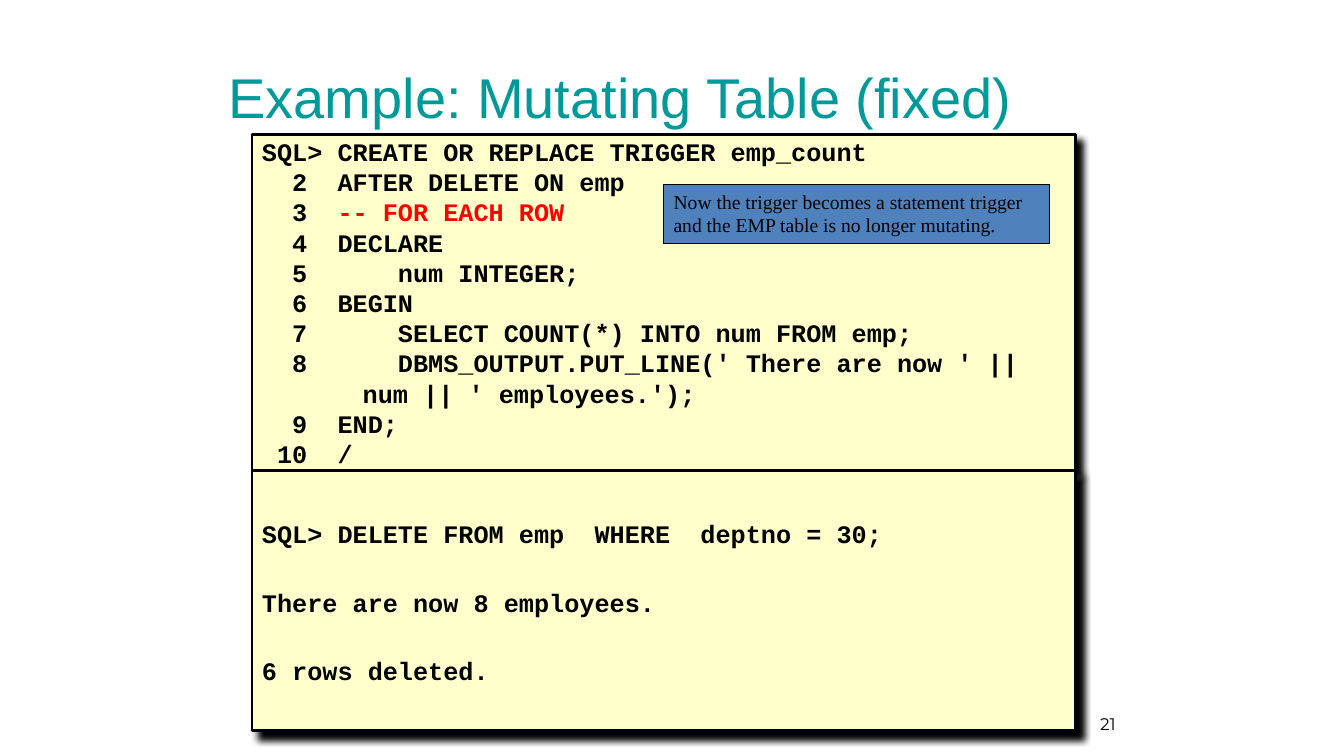
from lxml.etree import SubElement
from pptx import Presentation
from pptx.dml.color import RGBColor
from pptx.enum.shapes import MSO_SHAPE
from pptx.enum.text import MSO_ANCHOR, PP_ALIGN
from pptx.oxml.ns import qn
from pptx.util import Pt

COLORS = {
    "text": "000000",
    "title": "009999",
    "code_fill": "FFFFCC",
    "comment": "FF0000",
    "callout": "4F81BD",
}
CODE = {"name": "Courier New", "size": Pt(18), "bold": True}
TITLE = {"name": "Arial", "size": Pt(40), "bold": False}
NOTE = {"name": "Times New Roman", "size": Pt(14)}
NUMBER = {"name": "Montserrat", "size": Pt(12)}

TRIGGER = [
    "AFTER DELETE ON emp",
    "-- FOR EACH ROW",
    "DECLARE",
    "    num INTEGER;",
    "BEGIN",
    "    SELECT COUNT(*) INTO num FROM emp;",
    "    DBMS_OUTPUT.PUT_LINE(' There are now ' ||",
    "END;",
    "/",
]
CONTINUED = {8: "num || ' employees.');"}
OUTPUT = [
    "SQL> DELETE FROM emp  WHERE  deptno = 30;",
    "There are now 8 employees.",
    "6 rows deleted.",
]


def rgb(name):
    return RGBColor.from_string(COLORS[name])


def add_run(p, text, fmt, color="text"):
    r = p.add_run()
    r.text = text
    for key, value in fmt.items():
        setattr(r.font, key, value)
    r.font.color.rgb = rgb(color)


def set_frame(tf, anchor):
    frame = {
        "word_wrap": True, "vertical_anchor": anchor,
        "margin_left": Pt(7.2), "margin_right": Pt(7.2),
        "margin_top": Pt(3.6), "margin_bottom": Pt(3.6),
    }
    for key, value in frame.items():
        setattr(tf, key, value)


def next_paragraph(tf):
    """Return the first paragraph while it is empty, else a new one."""
    p = tf.paragraphs[0] if not tf.paragraphs[0].runs else tf.add_paragraph()
    p.alignment = PP_ALIGN.LEFT
    return p


def add_box(slide, x, y, w, h, fill, line, anchor):
    sp = slide.shapes.add_shape(MSO_SHAPE.RECTANGLE, Pt(x), Pt(y), Pt(w), Pt(h))
    sp.shadow.inherit = False
    sp.fill.solid()
    sp.fill.fore_color.rgb = rgb(fill)
    sp.line.color.rgb = rgb("text")
    sp.line.width = Pt(line)
    set_frame(sp.text_frame, anchor)
    return sp


def add_code_box(slide, y, h):
    sp = add_box(slide, 180, y, 588, h, "code_fill", 2, MSO_ANCHOR.MIDDLE)
    effects = sp._element.spPr.find(qn("a:effectLst"))
    shadow = SubElement(effects, qn("a:outerShdw"), blurRad=str(Pt(5)),
                        dist=str(Pt(7.1)), dir=str(45 * 60000),
                        algn="ctr", rotWithShape="0")
    SubElement(shadow, qn("a:srgbClr"), val=COLORS["text"])
    return sp.text_frame


def add_trigger(slide):
    tf = add_code_box(slide, 96, 240)
    add_run(next_paragraph(tf), "SQL> CREATE OR REPLACE TRIGGER emp_count", CODE)
    for number, code in enumerate(TRIGGER, 2):
        p = next_paragraph(tf)
        add_run(p, f"{number:>3}  ", CODE)
        add_run(p, code, CODE, "comment" if code.startswith("--") else "text")
        if number in CONTINUED:
            p = next_paragraph(tf)
            p._p.get_or_add_pPr().set("marL", str(Pt(72)))
            add_run(p, CONTINUED[number], CODE)


def add_output(slide):
    tf = add_code_box(slide, 336, 186)
    for i, text in enumerate(OUTPUT):
        p = next_paragraph(tf)
        p.line_spacing = 1.1
        p.space_before = Pt(25 if i else 0)
        add_run(p, text, CODE)


def add_callout(slide, text):
    sp = add_box(slide, 474, 132, 276, 42, "callout", 0.75, MSO_ANCHOR.TOP)
    add_run(next_paragraph(sp.text_frame), text, NOTE)


def set_title(slide, text):
    sp = slide.shapes.title
    sp.left, sp.top, sp.width, sp.height = Pt(156), Pt(48), Pt(612), Pt(48)
    set_frame(sp.text_frame, MSO_ANCHOR.BOTTOM)
    add_run(next_paragraph(sp.text_frame), text, TITLE, "title")


def add_slide_number(slide, text):
    sp = slide.shapes.add_textbox(Pt(636), Pt(492), Pt(168), Pt(36))
    set_frame(sp.text_frame, MSO_ANCHOR.BOTTOM)
    p = next_paragraph(sp.text_frame)
    p.alignment = PP_ALIGN.RIGHT
    add_run(p, text, NUMBER)


def main():
    prs = Presentation()
    prs.slide_width, prs.slide_height = Pt(960), Pt(540)
    slide = prs.slides.add_slide(prs.slide_layouts[5])

    # Heading and page number
    set_title(slide, "Example: Mutating Table (fixed)")
    add_slide_number(slide, "21")

    # Trigger source and its output
    add_trigger(slide)
    add_output(slide)

    # Explanation over the code
    add_callout(slide, "Now the trigger becomes a statement trigger "
                       "and the EMP table is no longer mutating.")

    prs.save("out.pptx")


if __name__ == "__main__":
    main()
